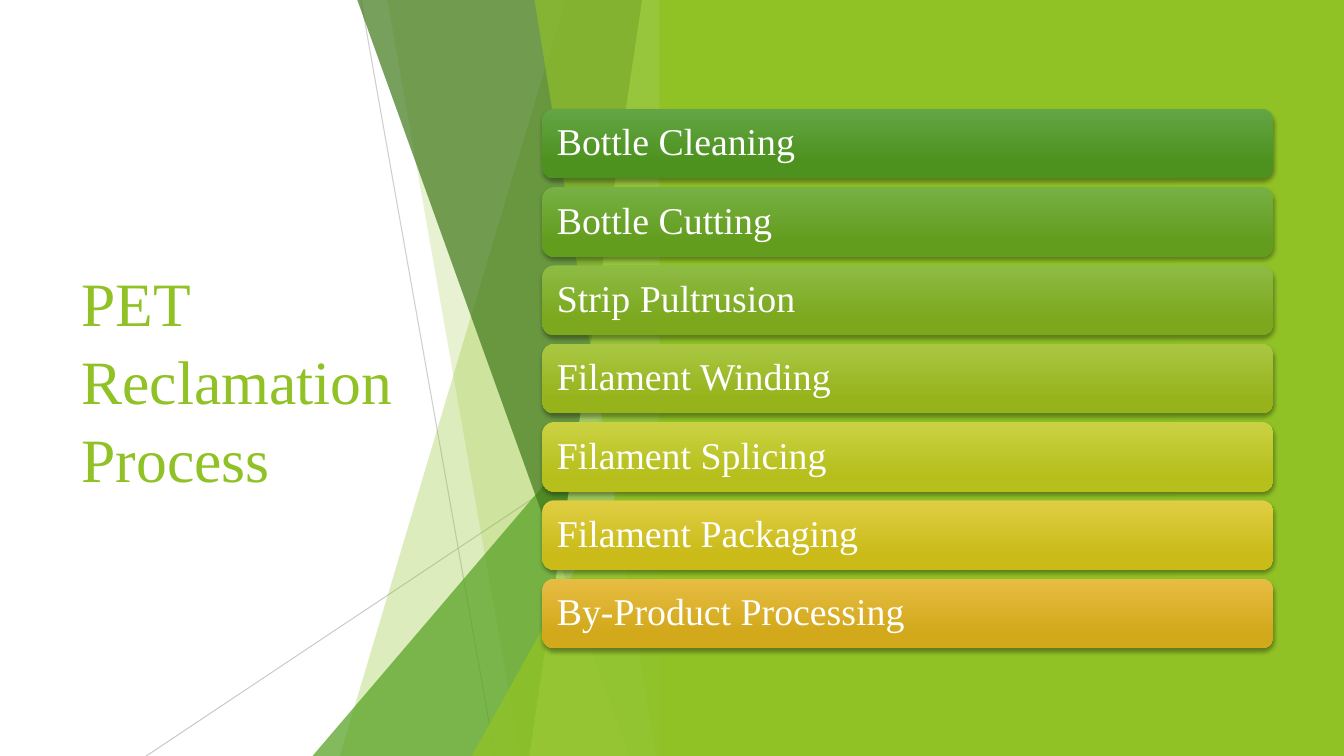
from lxml.etree import SubElement
from pptx import Presentation
from pptx.dml.color import RGBColor
from pptx.enum.shapes import MSO_CONNECTOR as Connector, MSO_SHAPE as Shape
from pptx.enum.text import MSO_ANCHOR as Anchor, PP_ALIGN as Align
from pptx.oxml.ns import qn
from pptx.util import Pt

PX = 9144
WIDTH, HEIGHT = 1333, 750

WHITE = RGBColor(0xFF, 0xFF, 0xFF)
GRAY = RGBColor(0xBF, 0xBF, 0xBF)
LIME = RGBColor(0x90, 0xC2, 0x26)
GREEN = RGBColor(0x54, 0xA0, 0x21)
DARK_GREEN = RGBColor(0x3F, 0x78, 0x19)
PALE_LIME = RGBColor(0xC0, 0xE4, 0x74)

FACETS = [
    ("band", 561, 337, LIME, 30),
    ("band", 384, 516, LIME, 20),
    ("triangle", 310, 333, GREEN, 72),
    ("band", 354, 624, DARK_GREEN, 70),
    ("band", 637, 525, PALE_LIME, 70),
    ("band", 530, 651, LIME, 65),
    ("triangle", 468, 393, LIME, 80),
]
FACET_RIGHT = 666

STEPS = [
    ("Bottle Cleaning", RGBColor(0x63, 0xA5, 0x45), RGBColor(0x4D, 0x92, 0x1E)),
    ("Bottle Cutting", RGBColor(0x77, 0xB0, 0x44), RGBColor(0x62, 0x9D, 0x1E)),
    ("Strip Pultrusion", RGBColor(0x8E, 0xBB, 0x44), RGBColor(0x7B, 0xA8, 0x1D)),
    ("Filament Winding", RGBColor(0xAA, 0xC7, 0x44), RGBColor(0x97, 0xB3, 0x1C)),
    ("Filament Splicing", RGBColor(0xCA, 0xD2, 0x43), RGBColor(0xB6, 0xBF, 0x1B)),
    ("Filament Packaging", RGBColor(0xDF, 0xCE, 0x43), RGBColor(0xCA, 0xBB, 0x19)),
    ("By-Product Processing", RGBColor(0xE7, 0xBC, 0x43), RGBColor(0xD2, 0xA9, 0x1B)),
]
STEP_TOP, STEP_BOTTOM, STEP_HEIGHT = 108, 643, 69
STEP_PITCH = (STEP_BOTTOM - STEP_HEIGHT - STEP_TOP) / (len(STEPS) - 1)


def px(*lengths):
    return [round(length * PX) for length in lengths]


def apply(target, values):
    for name, value in values.items():
        setattr(target, name, value)


def set_opacity(shape, percent):
    color = shape.element.spPr.find(".//" + qn("a:srgbClr"))
    SubElement(color, qn("a:alpha"), val=str(percent * 1000))


class SlideBuilder:
    font_name = "Times New Roman"

    def __init__(self, slide):
        self.slide = slide
        self.shapes = slide.shapes

    def paint(self, shape, color, opacity=100):
        shape.shadow.inherit = False
        shape.fill.solid()
        shape.fill.fore_color.rgb = color
        shape.line.fill.background()
        if opacity < 100:
            set_opacity(shape, opacity)

    def line(self, start, end, opacity):
        connector = self.shapes.add_connector(Connector.STRAIGHT, *px(*start, *end))
        connector.line.color.rgb = GRAY
        connector.line.width = Pt(0.75)
        set_opacity(connector, opacity)
        SubElement(connector.element.spPr, qn("a:effectLst"))

    def band(self, top_left, bottom_left, color, opacity):
        builder = self.shapes.build_freeform(top_left, -1, scale=PX)
        builder.add_line_segments(
            [(FACET_RIGHT, -1), (FACET_RIGHT, HEIGHT), (bottom_left, HEIGHT)]
        )
        self.paint(builder.convert_to_shape(), color, opacity)

    def triangle(self, left, top, color, opacity):
        size = px(left, top, FACET_RIGHT - left, HEIGHT - top)
        shape = self.shapes.add_shape(Shape.ISOSCELES_TRIANGLE, *size)
        shape.adjustments[0] = 1
        self.paint(shape, color, opacity)

    def panel(self, left, top, width, height, color):
        shape = self.shapes.add_shape(Shape.RECTANGLE, *px(left, top, width, height))
        self.paint(shape, color)

    def set_text(self, shape, text, size, color, spacing, frame_format):
        frame = shape.text_frame
        apply(frame, {"word_wrap": True, "vertical_anchor": Anchor.MIDDLE} | frame_format)
        paragraph = frame.paragraphs[0]
        apply(paragraph, {"text": text, "alignment": Align.LEFT, "line_spacing": spacing})
        font = paragraph.runs[0].font
        apply(font, {"name": self.font_name, "size": Pt(size)})
        font.color.rgb = color

    def title(self, left, top, width, height, text):
        box = self.shapes.add_textbox(*px(left, top, width, height))
        self.set_text(box, text, 44, LIME, 1.05, {})

    def step(self, left, top, width, height, text, light, deep):
        shape = self.shapes.add_shape(
            Shape.ROUNDED_RECTANGLE, *px(left, top, width, height)
        )
        shape.line.fill.background()
        shape.fill.gradient()
        shape.fill.gradient_angle = 270
        for stop, color, position in zip(
            shape.fill.gradient_stops, (light, deep), (0, 0.78)
        ):
            stop.color.rgb = color
            stop.position = position
        self.drop_shadow(shape)
        sides = ("left", "top", "right", "bottom")
        self.set_text(
            shape, text, 27, WHITE, 0.9, {f"margin_{side}": 11 * PX for side in sides}
        )

    def drop_shadow(self, shape):
        shape.shadow.inherit = False
        effects = shape.element.spPr.find(qn("a:effectLst"))
        shadow = SubElement(
            effects, qn("a:outerShdw"),
            blurRad=str(Pt(3)), dist=str(Pt(2)), dir="5400000", rotWithShape="0",
        )
        color = SubElement(shadow, qn("a:srgbClr"), val="000000")
        SubElement(color, qn("a:alpha"), val="35000")


def main():
    presentation = Presentation()
    apply(presentation, {"slide_width": WIDTH * PX, "slide_height": HEIGHT * PX})
    slide = presentation.slides.add_slide(presentation.slide_layouts[6])
    builder = SlideBuilder(slide)

    builder.title(71, 151, 388, 448, "PET Reclamation Process")
    builder.line((358, 0), (491, HEIGHT), 75)
    builder.line((FACET_RIGHT, 403), (145, HEIGHT), 80)
    draw = {"band": builder.band, "triangle": builder.triangle}
    for kind, *facet in FACETS:
        draw[kind](*facet)
    builder.panel(654, 0, WIDTH - 654, HEIGHT, LIME)
    for index, step in enumerate(STEPS):
        builder.step(538, STEP_TOP + index * STEP_PITCH, 725, STEP_HEIGHT, *step)

    presentation.save("out.pptx")


if __name__ == "__main__":
    main()
